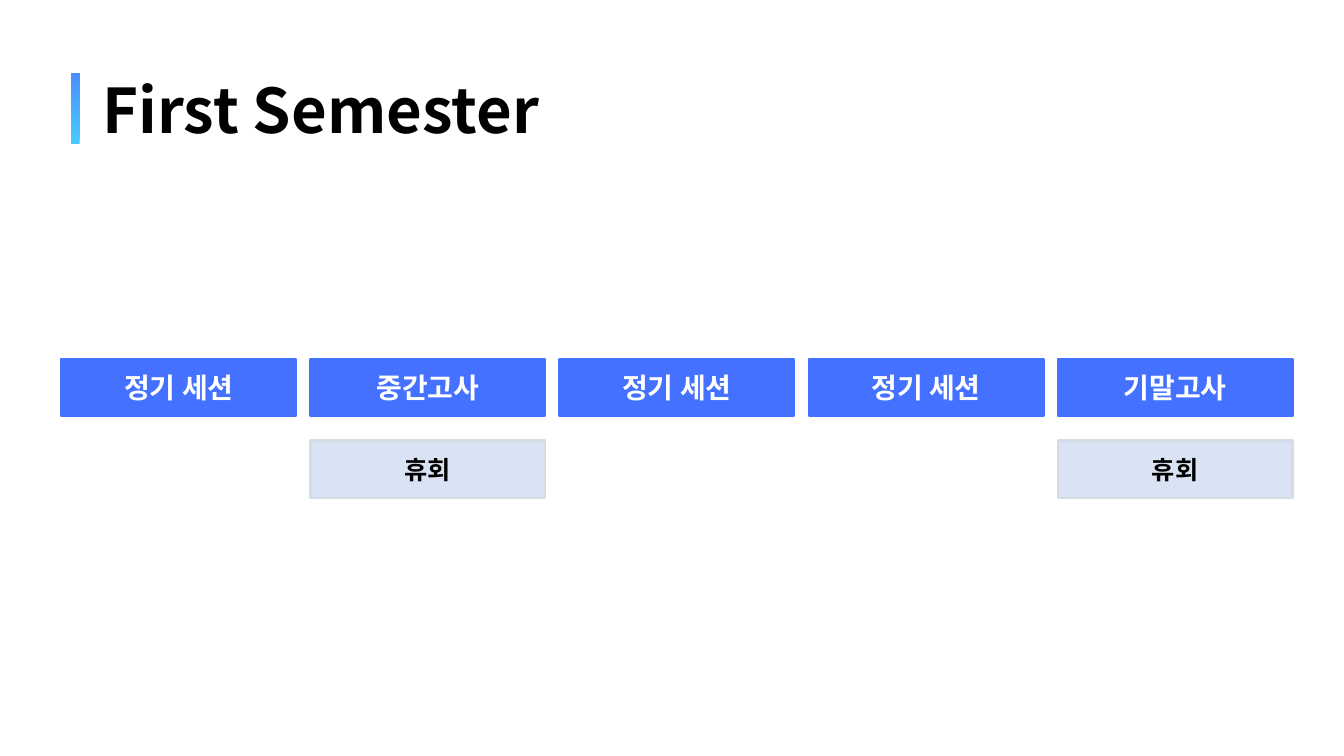
from lxml import etree
from pptx import Presentation
from pptx import util as u
from pptx.dml.color import RGBColor
from pptx.enum import shapes, text
from pptx.oxml.ns import qn

FONT = "Noto Sans CJK KR"
BLACK = RGBColor(0x00, 0x00, 0x00)
WHITE = RGBColor(0xFF, 0xFF, 0xFF)
BLUE = RGBColor(0x44, 0x71, 0xFF)
PALE_BLUE = RGBColor(0xDA, 0xE3, 0xF3)
PALE_GREY = RGBColor(0xD6, 0xDC, 0xE5)
ACCENT_BOTTOM = RGBColor(0x49, 0xCA, 0xFF)
ACCENT_TOP = RGBColor(0x48, 0x8F, 0xFF)

PERIODS = ["정기 세션", "중간고사", "정기 세션", "정기 세션", "기말고사"]
BREAKS = {1: "휴회", 4: "휴회"}
FIRST_LEFT, COLUMN_STEP = 0.61, 2.47
BOX_WIDTH, BOX_HEIGHT = 2.33, 0.57
PERIOD_TOP, BREAK_TOP = 3.56, 4.37

PERIOD_STYLE = {"fill": BLUE, "line": BLUE, "size": 20, "color": WHITE}
BREAK_STYLE = {"fill": PALE_BLUE, "line": PALE_GREY, "size": 18, "color": BLACK}


def write(frame, words, size, color, align):
    """Put one bold line into a text frame, centred vertically."""
    frame_format = {
        "word_wrap": True,
        "auto_size": text.MSO_AUTO_SIZE.NONE,
        "vertical_anchor": text.MSO_ANCHOR.MIDDLE,
    }
    for name, value in frame_format.items():
        setattr(frame, name, value)
    paragraph = frame.paragraphs[0]
    paragraph.alignment = align
    run = paragraph.add_run()
    run.text = words
    run.font.color.rgb = color
    for name, value in {"size": u.Pt(size), "bold": True, "name": FONT}.items():
        setattr(run.font, name, value)
    east_asian = etree.SubElement(run.font._element, qn("a:ea"))
    east_asian.set("typeface", FONT)


def add_bar(slide, left, top, width, height):
    """Add a plain rectangle without shadow."""
    bar = slide.shapes.add_shape(
        shapes.MSO_SHAPE.RECTANGLE, *map(u.Inches, (left, top, width, height))
    )
    bar.shadow.inherit = False
    return bar


def add_title(slide, words):
    """Place the slide title."""
    title = slide.shapes.title
    place = {"left": 0.92, "top": 0.4, "width": 11.5, "height": 1.45}
    for name, value in place.items():
        setattr(title, name, u.Inches(value))
    write(title.text_frame, words, 44, BLACK, text.PP_ALIGN.LEFT)
    title.text_frame.paragraphs[0].line_spacing = 0.9


def add_accent(slide):
    """Add the upright gradient bar beside the title."""
    accent = add_bar(slide, 0.7, 0.72, 0.09, 0.71)
    accent.line.fill.background()
    accent.fill.gradient()
    accent.fill.gradient_angle = 90
    for stop, color in zip(accent.fill.gradient_stops, (ACCENT_BOTTOM, ACCENT_TOP)):
        stop.color.rgb = color


def add_box(slide, column, top, label, style):
    """Add a labelled schedule box in the given column."""
    left = FIRST_LEFT + column * COLUMN_STEP
    box = add_bar(slide, left, top, BOX_WIDTH, BOX_HEIGHT)
    box.fill.solid()
    box.fill.fore_color.rgb = style["fill"]
    box.line.color.rgb = style["line"]
    box.line.width = u.Pt(1.5)
    write(box.text_frame, label, style["size"], style["color"], text.PP_ALIGN.CENTER)


def main():
    """Build the semester schedule slide."""
    deck = Presentation()
    deck.slide_width, deck.slide_height = u.Inches(13.33), u.Inches(7.5)
    slide = deck.slides.add_slide(deck.slide_layouts.get_by_name("Title Only"))
    add_title(slide, "First Semester")
    add_accent(slide)
    for column, period in enumerate(PERIODS):
        add_box(slide, column, PERIOD_TOP, period, PERIOD_STYLE)
    for column, label in BREAKS.items():
        add_box(slide, column, BREAK_TOP, label, BREAK_STYLE)
    deck.save("out.pptx")


if __name__ == "__main__":
    main()
